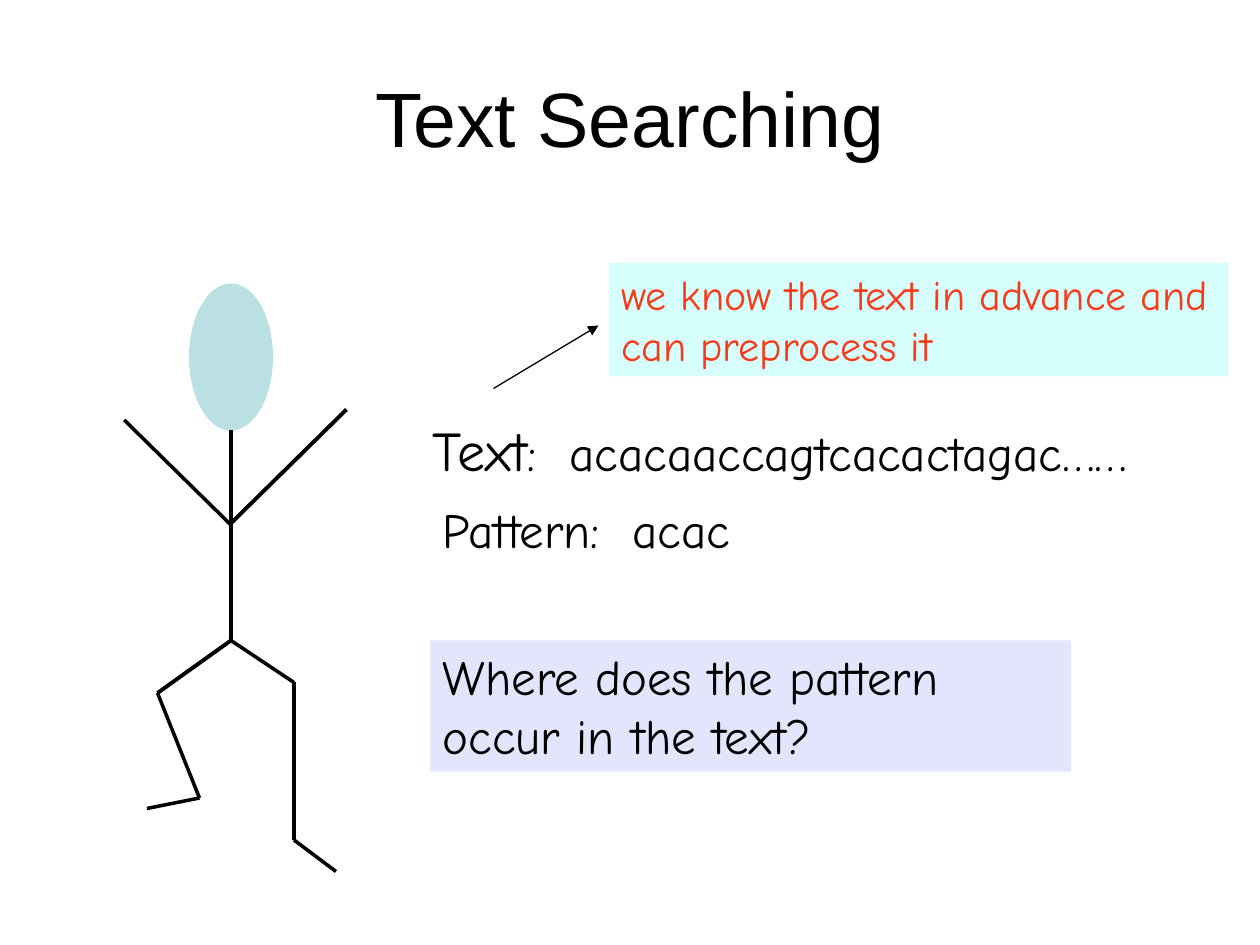
from lxml import etree
from pptx import Presentation
from pptx.dml.color import RGBColor
from pptx.enum.shapes import MSO_CONNECTOR, MSO_SHAPE
from pptx.enum.text import MSO_ANCHOR, PP_ALIGN
from pptx.oxml.ns import qn
from pptx.util import Pt

LINE = MSO_CONNECTOR.STRAIGHT
OVAL = MSO_SHAPE.OVAL
TOP, MIDDLE = MSO_ANCHOR.TOP, MSO_ANCHOR.MIDDLE
LEFT, CENTER = PP_ALIGN.LEFT, PP_ALIGN.CENTER

BLACK = "000000"
HAND = "Comic Neue"

HEAD = (108, 162, 48, 84)
NECK, CHEST, HIP = (132, 246), (132, 299), (132, 366)
LIMBS = [
    (2, [NECK, HIP]),
    (2, [(71, 240), (132, 300)]),
    (2.25, [CHEST, (198, 234)]),
    (2.25, [HIP, (90, 396)]),
    (2, [(90, 396), (114, 456), (84, 462)]),
    (2, [HIP, (168, 390), (168, 480), (192, 498)]),
]
ARROW = [(282, 222), (342, 186)]

TITLE = {"box": (36, 21.6, 648, 90), "runs": [("Text Searching", 44)],
         "font": "Arial", "align": CENTER, "anchor": MIDDLE}
NOTES = [
    TITLE,
    {"box": (246, 366, 366, 75), "fill": "E3E5FD",
     "runs": [("Where does the pattern occur in the text?", 28)]},
    {"box": (246, 282, 252, 41), "runs": [("Pattern:  acac", 28)]},
    {"box": (240, 234, 456, 46),
     "runs": [("Text", 32), (":  acacaaccagtcacactagac……", 28)]},
    {"box": (348, 150, 354, 65), "fill": "D6FEFD", "color": "FB3817",
     "runs": [("we know the text in advance and can preprocess it", 24)]},
]


def paint(color, value):
    color.rgb = RGBColor.from_string(value)


def add_line(shapes, start, end, width):
    line = shapes.add_connector(LINE, *map(Pt, start + end))
    line.line.width = Pt(width)
    paint(line.line.color, BLACK)
    props = line.line._get_or_add_ln()
    etree.SubElement(props.getparent(), qn("a:effectLst"))
    return props


def add_note(shapes, note):
    box = shapes.add_textbox(*map(Pt, note["box"]))
    if "fill" in note:
        box.fill.solid()
        paint(box.fill.fore_color, note["fill"])
    frame = box.text_frame
    frame.word_wrap = True
    frame.vertical_anchor = note.get("anchor", TOP)
    para = frame.paragraphs[0]
    para.alignment = note.get("align", LEFT)
    for text, size in note["runs"]:
        run = para.add_run()
        run.text = text
        style = {"name": note.get("font", HAND), "size": Pt(size)}
        for key, value in style.items():
            setattr(run.font, key, value)
        paint(run.font.color, note.get("color", BLACK))


def main():
    deck = Presentation()
    deck.slide_width, deck.slide_height = Pt(720), Pt(540)
    shapes = deck.slides.add_slide(deck.slide_layouts[6]).shapes

    head = shapes.add_shape(OVAL, *map(Pt, HEAD))
    head.shadow.inherit = False
    head.fill.solid()
    paint(head.fill.fore_color, "BBE0E3")
    head.line.fill.background()

    for width, points in LIMBS:
        for start, end in zip(points, points[1:]):
            add_line(shapes, start, end, width)
    arrow = add_line(shapes, *ARROW, 0.75)
    etree.SubElement(arrow, qn("a:tailEnd"), type="triangle")

    for note in NOTES:
        add_note(shapes, note)
    deck.save("out.pptx")


if __name__ == "__main__":
    main()
